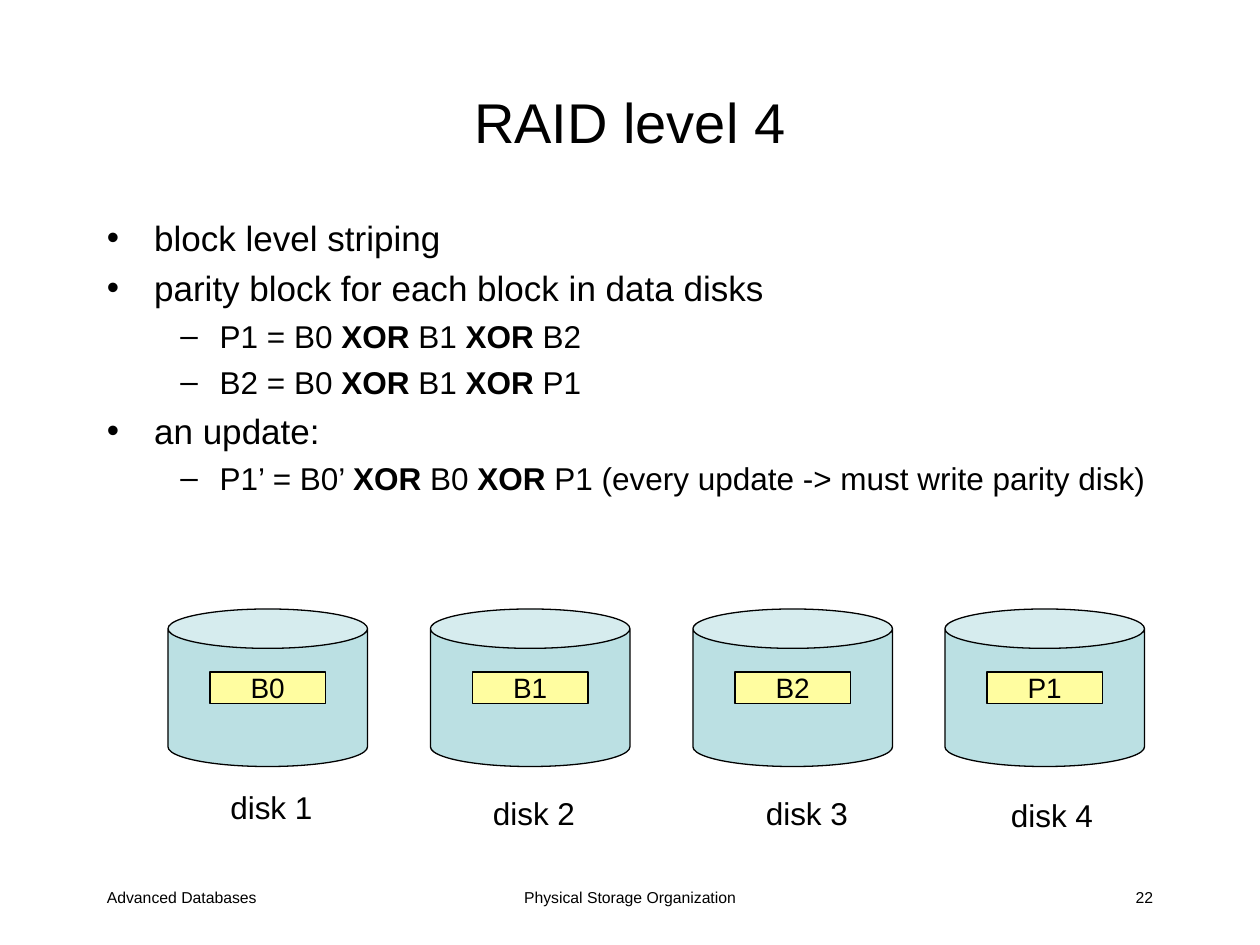
from dataclasses import dataclass

from lxml.etree import SubElement as SubEl
from pptx import Presentation
from pptx.dml.color import RGBColor as RGB
from pptx.enum.shapes import MSO_SHAPE as Kind
from pptx.enum.text import MSO_ANCHOR as Anchor, MSO_AUTO_SIZE as Fit, PP_ALIGN as Align
from pptx.oxml.ns import qn
from pptx.shapes.autoshape import Shape
from pptx.slide import Slide
from pptx.text.text import _Paragraph as Para
from pptx.util import Pt


@dataclass(frozen=True)
class Theme:
    font: str = "Arial"
    ink: RGB = RGB(0, 0, 0)
    disk: RGB = RGB(0xBB, 0xE0, 0xE3)
    block: RGB = RGB(0xFF, 0xFD, 0xA0)
    title: float = 32
    label: float = 18
    code: float = 16
    foot: float = 9


@dataclass(frozen=True)
class Box:
    left: float
    top: float
    width: float
    height: float


@dataclass(frozen=True)
class Level:
    size: float
    mark: str
    margin: float
    indent: float
    before: float


@dataclass(frozen=True)
class Item:
    level: int
    text: str


@dataclass(frozen=True)
class Disk:
    left: float
    block: str
    name: str
    shift: float  # label offset from the disk's left edge
    top: float


THEME = Theme()
LEVELS = (Level(20, "•", 27, -27, 5), Level(18, "–", 64.5, -22.5, 4.5))
ITEMS = (
    Item(0, "block level striping"),
    Item(0, "parity block for each block in data disks"),
    Item(1, "P1 = B0 XOR B1 XOR B2"),
    Item(1, "B2 = B0 XOR B1 XOR P1"),
    Item(0, "an update:"),
    Item(1, "P1’ = B0’ XOR B0 XOR P1 (every update -> must write parity disk)"),
)
DISKS = (
    Disk(96, "B0", "disk 1", 28.5, 447),
    Disk(246, "B1", "disk 2", 28.5, 450),
    Disk(396, "B2", "disk 3", 34.5, 450),
    Disk(540, "P1", "disk 4", 30.5, 451.5),
)
FOOT = (
    (Box(54, 504, 150, 24), "Advanced Databases", Align.LEFT),
    (Box(246, 504, 228, 24), "Physical Storage Organization", Align.CENTER),
    (Box(516, 504, 150, 24), "22", Align.RIGHT),
)


def place(box: Box) -> tuple[Pt, ...]:
    return Pt(box.left), Pt(box.top), Pt(box.width), Pt(box.height)


def style(para: Para, size: float, align: Align = Align.LEFT) -> None:
    para.alignment = align
    para.font.name = THEME.font
    para.font.size = Pt(size)
    para.font.color.rgb = THEME.ink


def add_text(slide: Slide, box: Box, text: str, size: float,
             align: Align = Align.LEFT) -> Shape:
    shape = slide.shapes.add_textbox(*place(box))
    shape.text_frame.word_wrap = True
    para = shape.text_frame.paragraphs[0]
    para.text = text
    style(para, size, align)
    return shape


def add_form(slide: Slide, kind: Kind, box: Box, fill: RGB) -> Shape:
    shape = slide.shapes.add_shape(kind, *place(box))
    shape.shadow.inherit = False
    shape.fill.solid()
    shape.fill.fore_color.rgb = fill
    shape.line.color.rgb = THEME.ink
    shape.line.width = Pt(0.75)
    return shape


def add_item(para: Para, item: Item) -> None:
    level = LEVELS[item.level]
    para.level = item.level
    para.space_before = Pt(level.before)
    # Operators are bold, the operands between them plain
    for i, part in enumerate(item.text.split("XOR")):
        if i:
            word = para.add_run()
            word.text = "XOR"
            word.font.bold = True
        para.add_run().text = part
    style(para, level.size)
    # Bullet and hanging indent
    props = para._p.get_or_add_pPr()
    props.set("marL", str(Pt(level.margin)))
    props.set("indent", str(Pt(level.indent)))
    for tag, key, value in (("a:buFont", "typeface", THEME.font),
                            ("a:buChar", "char", level.mark)):
        node = SubEl(props, qn(tag))
        node.set(key, value)
        props.insert_element_before(node, "a:tabLst", "a:defRPr", "a:extLst")


def add_list(slide: Slide, box: Box) -> None:
    frame = slide.shapes.add_textbox(*place(box)).text_frame
    frame.word_wrap = True
    for i, item in enumerate(ITEMS):
        add_item(frame.add_paragraph() if i else frame.paragraphs[0], item)


def add_disk(slide: Slide, disk: Disk) -> None:
    can = add_form(slide, Kind.CAN, Box(disk.left, 348, 114, 90), THEME.disk)
    can.adjustments[0] = 0.25
    block = add_form(slide, Kind.RECTANGLE,
                     Box(disk.left + 24, 384, 66, 18), THEME.block)
    frame = block.text_frame
    frame.word_wrap = False
    frame.vertical_anchor = Anchor.MIDDLE
    frame.text = disk.block
    style(frame.paragraphs[0], THEME.code, Align.CENTER)
    # The label's box grows with its single line
    label = add_text(slide, Box(disk.left + disk.shift, disk.top, 62, 29),
                     disk.name, THEME.label)
    label.text_frame.word_wrap = False
    label.text_frame.auto_size = Fit.SHAPE_TO_FIT_TEXT


def main() -> None:
    deck = Presentation()
    deck.slide_width, deck.slide_height = Pt(720), Pt(540)
    slide = deck.slides.add_slide(deck.slide_layouts[6])

    # Footer
    for box, text, align in FOOT:
        add_text(slide, box, text, THEME.foot, align)

    # Title and bullets
    title = add_text(slide, Box(54, 24, 612, 90), "RAID level 4",
                     THEME.title, Align.CENTER)
    title.text_frame.vertical_anchor = Anchor.MIDDLE
    add_list(slide, Box(54, 120, 612, 372))

    # Disks with their blocks and labels
    for disk in DISKS:
        add_disk(slide, disk)

    deck.save("out.pptx")


if __name__ == "__main__":
    main()
